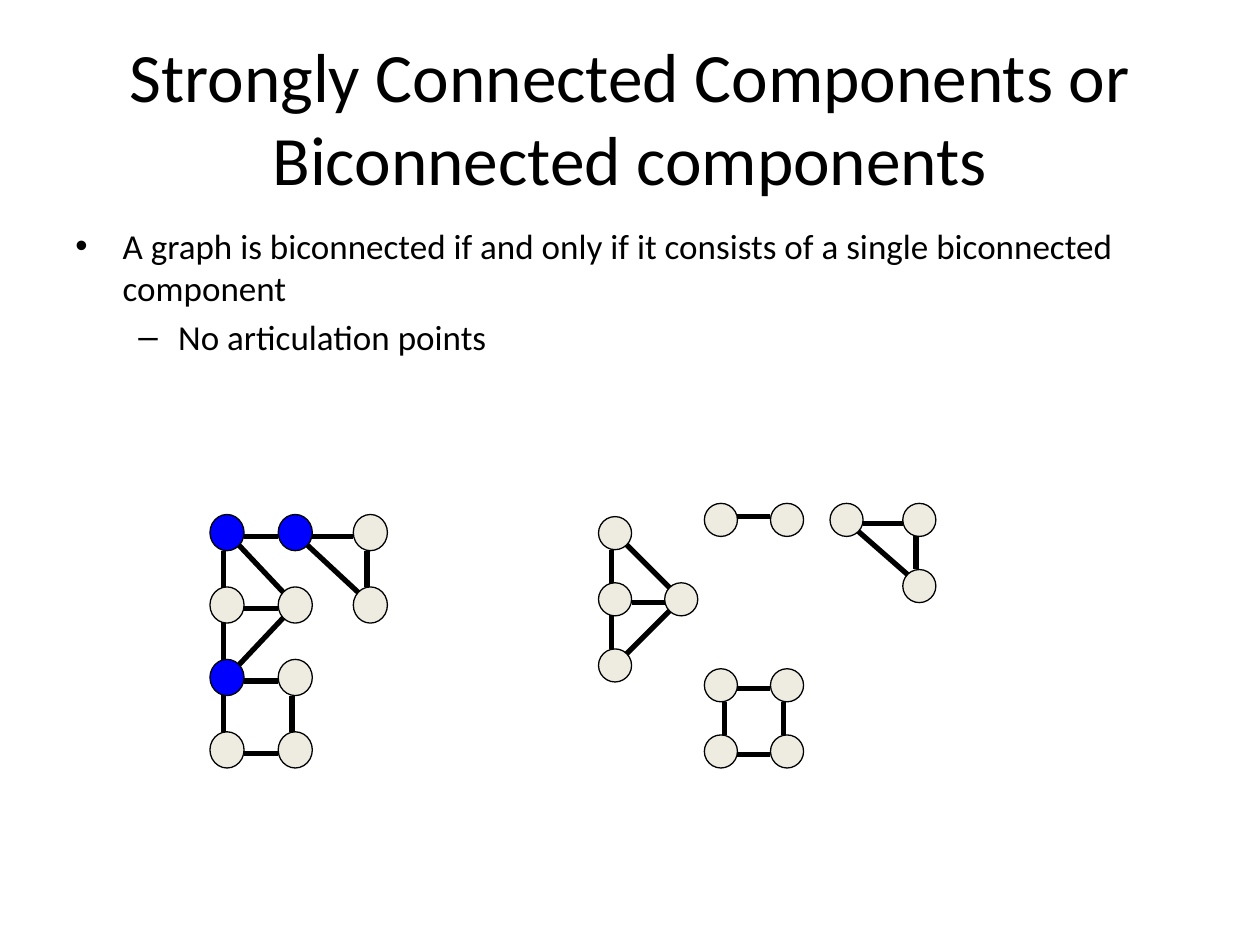
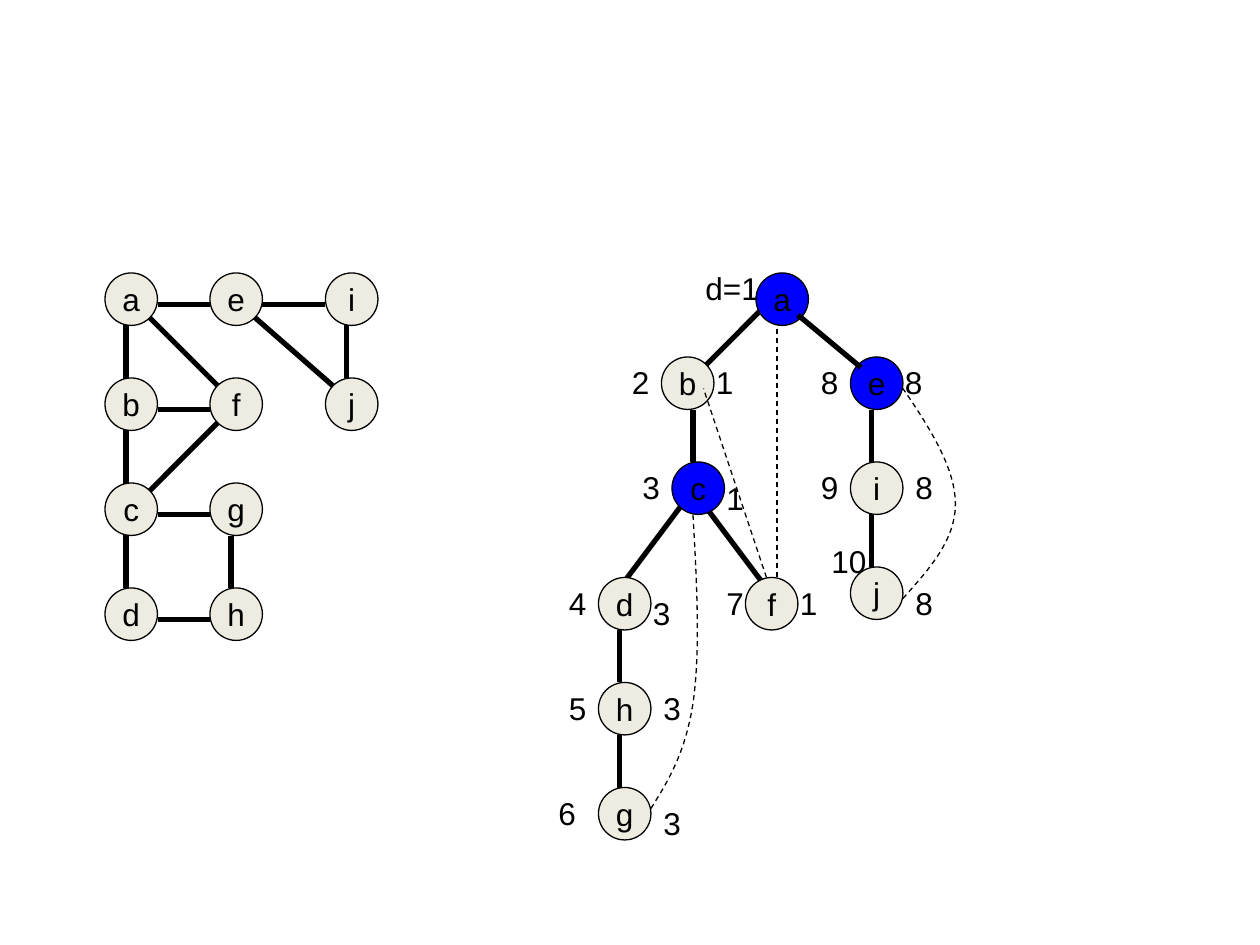
from dataclasses import dataclass
from typing import NamedTuple

import pptx
import pptx.dml.color
import pptx.enum.dml
import pptx.enum.shapes
import pptx.enum.text
import pptx.oxml.ns
import pptx.util
from lxml import etree

PX = 7620  # EMU per px, 120 px to the inch
SIZE = 50  # node width before scaling


@dataclass(frozen=True)
class Theme:
    ink: str = "000000"
    node: str = "EEECE1"
    cut: str = "0000FF"
    head: str = "Calibri"
    mark: str = "Arial"
    title: float = 39.6
    body: float = 20
    label: float = 18
    thick: float = 3
    thin: float = 0.75


class Frame(NamedTuple):
    x: int
    y: int
    sx: float = 1
    sy: float = 1


class Graph(NamedTuple):
    nodes: dict[str, tuple[int, int]]
    under: str  # edges behind the nodes, each a pair of node names
    over: str   # edges in front of the nodes
    flip: str = ""  # edges set on the other side of the centre


class Label(NamedTuple):
    text: str
    x: int
    y: int
    wide: int


class Bullet(NamedTuple):
    text: str
    level: int
    sign: str
    left: int
    hang: int


THEME = Theme()

# The sample graph, its biconnected parts and its depth-first tree
SAMPLE = Graph(
    {"a": (0, 0), "e": (100, 0), "i": (210, 0),
     "b": (0, 100), "f": (100, 100), "j": (210, 100),
     "c": (0, 200), "g": (100, 200), "d": (0, 300), "h": (100, 300)},
    "cf af ad ej", "ae ei ij dh bf cg gh")
PARTS = Graph(
    {"a": (0, 0), "b": (0, 100), "c": (0, 200), "f": (100, 100),
     "A": (160, -20), "e": (260, -20),
     "E": (350, -20), "i": (460, -20), "j": (460, 80),
     "C": (160, 230), "g": (260, 230), "d": (160, 330), "h": (260, 330)},
    "cf af ac Ej", "Ei ij dh bf Cg gh Ae Cd", "Ae Cd")
TREE = Graph(
    {"a": (720, 260), "b": (630, 340), "e": (810, 340), "c": (640, 440),
     "i": (810, 440), "j": (810, 540), "d": (570, 550), "f": (710, 550),
     "h": (570, 650), "g": (570, 750)},
    "", "ij ei bc dh hg ae")

# Tree edges that lean, and the back edges
SLANTS = [(590, 560, 650, 480), (660, 360, 730, 290), (670, 480, 730, 560)]
DASHES = [(730, 550, 670, 370), (740, 550, 740, 310)]
CURVES = [
    [(620, 770), (637, 743), (653, 716), (660, 670),
     (667, 623), (664, 557), (660, 490)],
    [(860, 570), (886, 541), (910, 514), (910, 480),
     (910, 446), (886, 408), (860, 370)],
]

# Low values, then depth numbers
LABELS = [
    Label("1", 670, 340, 40), Label("1", 680, 450, 40),
    Label("1", 750, 550, 40), Label("3", 610, 560, 30),
    Label("3", 620, 650, 30), Label("3", 620, 760, 30),
    Label("8", 850, 340, 50), Label("8", 860, 440, 80),
    Label("8", 860, 550, 80),
    Label("d=1", 660, 250, 90), Label("2", 590, 340, 50),
    Label("3", 600, 440, 30), Label("8", 770, 340, 40),
    Label("4", 530, 550, 40), Label("5", 530, 650, 40),
    Label("6", 520, 750, 40), Label("7", 680, 550, 30),
    Label("9", 770, 440, 30), Label("10", 780, 510, 60),
]

BULLETS = [
    Bullet("A graph is biconnected if and only if it consists of a single "
           "biconnected component", 0, "•", 45, 45),
    Bullet("No articulation points", 1, "–", 98, 38),
]


def emu(*px: float) -> list[int]:
    return [round(v * PX) for v in px]


def tint(code: str) -> pptx.dml.color.RGBColor:
    return pptx.dml.color.RGBColor.from_string(code)


def style(para, face: str, size: float) -> None:
    for run in para.runs:
        run.font.name = face
        run.font.size = pptx.util.Pt(size)
        run.font.color.rgb = tint(THEME.ink)


def stroke(line, width: float, dash: bool = False) -> None:
    line.color.rgb = tint(THEME.ink)
    line.width = pptx.util.Pt(width)
    if dash:
        line.dash_style = pptx.enum.dml.MSO_LINE.DASH


def bar(shapes, ends, width: float = THEME.thick, dash: bool = False) -> None:
    link = shapes.add_connector(pptx.enum.shapes.MSO_CONNECTOR.STRAIGHT,
                                *emu(*ends))
    stroke(link.line, width, dash)
    props = link._element.spPr
    etree.SubElement(props, pptx.oxml.ns.qn("a:effectLst"))


def curve(shapes, pts: list[tuple[int, int]], steps: int = 16) -> None:
    """Trace a chain of cubic Bezier arcs as a dashed outline."""
    dots = []
    for k in range(0, len(pts) - 1, 3):
        for n in range(1, steps + 1):
            t = n / steps
            u = 1 - t
            mix = (u ** 3, 3 * u * u * t, 3 * u * t * t, t ** 3)
            arc = pts[k:k + 4]
            dots.append(emu(*(sum(m * p[axis] for m, p in zip(mix, arc))
                              for axis in (0, 1))))
    trace = shapes.build_freeform(*emu(*pts[0]), scale=1.0)
    trace.add_line_segments(dots, close=False)
    shape = trace.convert_to_shape()
    shape.shadow.inherit = False
    shape.fill.background()
    stroke(shape.line, THEME.thin, True)


def edge(graph: Graph, pair: str) -> tuple[int, int, int, int]:
    """Find where an edge leaves its first node and meets its second."""
    (ax, ay), (bx, by) = (graph.nodes[name] for name in pair)
    shift = 10 if pair in graph.flip.split() else 0
    if ay == by:
        return ax + SIZE, ay + 30 - shift, bx, by + 30 - shift
    if pair in ("bc",) or ax == bx:
        return bx + 20 + shift, ay + SIZE, bx + 20 + shift, by
    rise, land = (40, 10) if by > ay else (10, 40)
    return ax + 40, ay + rise, bx + 10, by + land


def draw(slide, graph: Graph, frame: Frame, cuts: str = "",
         named: bool = False) -> None:
    shapes = slide.shapes.add_group_shape().shapes

    def place(x: int, y: int) -> tuple[float, float]:
        return frame.x + x * frame.sx, frame.y + y * frame.sy

    def join(pairs: str) -> None:
        for pair in pairs.split():
            x1, y1, x2, y2 = edge(graph, pair)
            bar(shapes, place(x1, y1) + place(x2, y2))

    join(graph.under)
    for name, spot in graph.nodes.items():
        disc = shapes.add_shape(
            pptx.enum.shapes.MSO_SHAPE.OVAL,
            *emu(*place(*spot), SIZE * frame.sx, SIZE * frame.sy))
        disc.shadow.inherit = False
        disc.fill.solid()
        disc.fill.fore_color.rgb = tint(
            THEME.cut if name in cuts else THEME.node)
        stroke(disc.line, THEME.thin)
        if named:
            text = disc.text_frame
            text.text = name
            text.word_wrap = False
            text.vertical_anchor = pptx.enum.text.MSO_ANCHOR.MIDDLE
            text.paragraphs[0].alignment = pptx.enum.text.PP_ALIGN.CENTER
            style(text.paragraphs[0], THEME.mark, THEME.label)
    join(graph.over)


def box(slide, x: int, y: int, wide: int, high: int):
    text = slide.shapes.add_textbox(*emu(x, y, wide, high)).text_frame
    text.word_wrap = True
    return text


def heading(slide, words: str) -> None:
    text = box(slide, 60, 36, 1080, 150)
    text.vertical_anchor = pptx.enum.text.MSO_ANCHOR.MIDDLE
    text.text = words
    text.paragraphs[0].alignment = pptx.enum.text.PP_ALIGN.CENTER
    style(text.paragraphs[0], THEME.head, THEME.title)


def points(slide, items: list[Bullet]) -> None:
    text = box(slide, 60, 208, 1080, 692)
    for n, item in enumerate(items):
        para = text.add_paragraph() if n else text.paragraphs[0]
        para.text = item.text
        para.level = item.level
        if n:
            para.space_before = pptx.util.Pt(4)
        props = para._p.get_or_add_pPr()
        props.set("marL", str(item.left * PX))
        props.set("indent", str(-item.hang * PX))
        for tag, key, value in (("a:buFont", "typeface", THEME.mark),
                                ("a:buChar", "char", item.sign)):
            etree.SubElement(props, pptx.oxml.ns.qn(tag)).set(key, value)
        style(para, THEME.head, THEME.body)


def note(slide, label: Label) -> None:
    text = box(slide, label.x, label.y, label.wide, 48)
    text.auto_size = pptx.enum.text.MSO_AUTO_SIZE.SHAPE_TO_FIT_TEXT
    text.text = label.text
    style(text.paragraphs[0], THEME.mark, THEME.label)


def main() -> None:
    deck = pptx.Presentation()
    deck.slide_width, deck.slide_height = emu(1200, 900)
    blank = deck.slide_layouts[6]

    # Slide 1: the graph and its parts
    first = deck.slides.add_slide(blank)
    heading(first, "Strongly Connected Components or Biconnected components")
    points(first, BULLETS)
    draw(first, PARTS, Frame(570, 492, 0.63, 0.63))
    draw(first, SAMPLE, Frame(200, 490, 0.65, 0.69), cuts="aec")

    # Slide 2: the graph and its search tree
    second = deck.slides.add_slide(blank)
    for ends in SLANTS:
        bar(second.shapes, ends)
    draw(second, SAMPLE, Frame(100, 260), named=True)
    draw(second, TREE, Frame(0, 0), cuts="aec", named=True)
    for ends in DASHES:
        bar(second.shapes, ends, THEME.thin, True)
    for pts in CURVES:
        curve(second.shapes, pts)
    for label in LABELS:
        note(second, label)

    deck.save("out.pptx")


if __name__ == "__main__":
    main()
